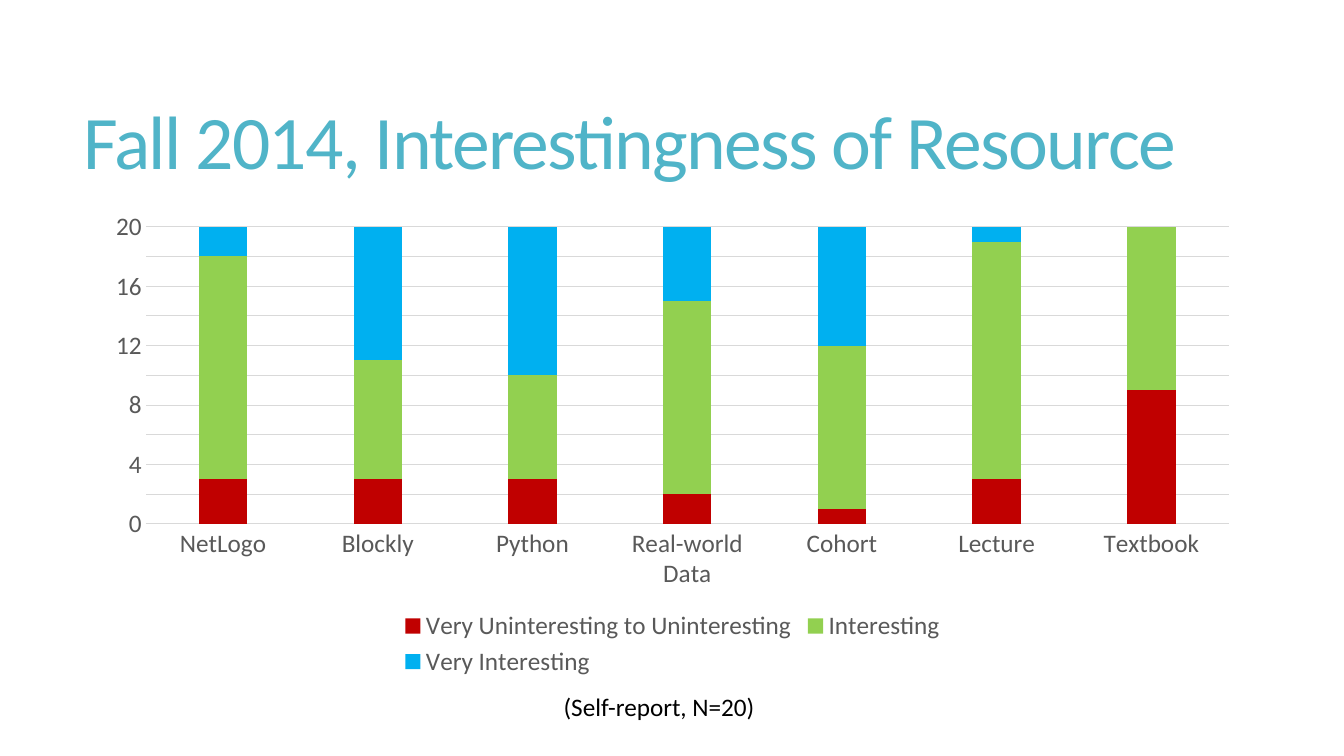
"""Build the slide on how interesting students found each resource."""
import pptx
import pptx.chart.data
import pptx.dml.color
import pptx.enum.chart
import pptx.enum.text
import pptx.util

RGBColor = pptx.dml.color.RGBColor
Pt = pptx.util.Pt
TEAL = RGBColor(0x50, 0xB4, 0xC8)
BLACK = RGBColor(0, 0, 0)
GRAY = RGBColor(0x59, 0x59, 0x59)
RULE = RGBColor(0xD9, 0xD9, 0xD9)
RED = RGBColor(0xC0, 0, 0)
GREEN = RGBColor(0x92, 0xD0, 0x50)
BLUE = RGBColor(0, 0xB0, 0xF0)

FONT = "Calibri"
SIZE = (1344, 756)
TITLE = "Fall 2014, Interestingness of Resource"
TITLE_BOX = (73, 55, 1187, 182)
CHART_BOX = (93, 202, 1159, 480)
NOTE = " (Self-report, N=20)"
NOTE_BOX = (548, 686, 248, 40)
RESOURCES = ["NetLogo", "Blockly", "Python", "Real-world Data",
             "Cohort", "Lecture", "Textbook"]
RATINGS = [
    ("Very Uninteresting to Uninteresting", RED, (3, 3, 3, 2, 1, 3, 9)),
    ("Interesting", GREEN, (15, 8, 7, 13, 11, 16, 11)),
    ("Very Interesting", BLUE, (2, 9, 10, 5, 8, 1, 0)),
]


def px(*lengths):
    return [round(n * 914400 / 100.8) for n in lengths]


def style(font, size, color):
    font.name, font.size, font.bold = FONT, Pt(size), False
    font.color.rgb = color


def rule(line):
    line.color.rgb = RULE
    line.width = Pt(0.75)


def add_title(s):
    sp = s.shapes.title
    sp.left, sp.top, sp.width, sp.height = px(*TITLE_BOX)
    tf = sp.text_frame
    tf.word_wrap = True
    tf.vertical_anchor = pptx.enum.text.MSO_ANCHOR.MIDDLE
    p = tf.paragraphs[0]
    p.alignment = pptx.enum.text.PP_ALIGN.LEFT
    p.line_spacing = 0.85
    r = p.add_run()
    r.text = TITLE
    style(r.font, 54, TEAL)
    r.font._element.set("spc", "-120")


def add_ratings(s):
    data = pptx.chart.data.CategoryChartData()
    data.categories = RESOURCES
    for name, _, values in RATINGS:
        data.add_series(name, values)
    kind = pptx.enum.chart.XL_CHART_TYPE.COLUMN_STACKED
    chart = s.shapes.add_chart(kind, *px(*CHART_BOX), data).chart
    style(chart.font, 18, BLACK)
    chart.has_title = False
    plot = chart.plots[0]
    plot.gap_width, plot.overlap = 219, 100
    plot.vary_by_categories = False
    for series, (_, color, _) in zip(plot.series, RATINGS):
        series.format.fill.solid()
        series.format.fill.fore_color.rgb = color
    for axis in (chart.category_axis, chart.value_axis):
        axis.major_tick_mark = pptx.enum.chart.XL_TICK_MARK.NONE
        style(axis.tick_labels.font, 18, GRAY)
    rule(chart.category_axis.format.line)
    axis = chart.value_axis
    axis.maximum_scale = 20
    axis.format.line.fill.background()
    axis.has_major_gridlines = True
    rule(axis.major_gridlines.format.line)
    chart.has_legend = True
    chart.legend.position = pptx.enum.chart.XL_LEGEND_POSITION.BOTTOM
    chart.legend.include_in_layout = False
    style(chart.legend.font, 18, GRAY)


def add_note(s):
    tf = s.shapes.add_textbox(*px(*NOTE_BOX)).text_frame
    tf.word_wrap = False
    tf.auto_size = pptx.enum.text.MSO_AUTO_SIZE.SHAPE_TO_FIT_TEXT
    r = tf.paragraphs[0].add_run()
    r.text = NOTE
    style(r.font, 18, BLACK)


def main():
    prs = pptx.Presentation()
    prs.slide_width, prs.slide_height = px(*SIZE)
    s = prs.slides.add_slide(prs.slide_layouts[5])
    add_title(s)
    add_ratings(s)
    add_note(s)
    prs.save("out.pptx")


if __name__ == "__main__":
    main()
